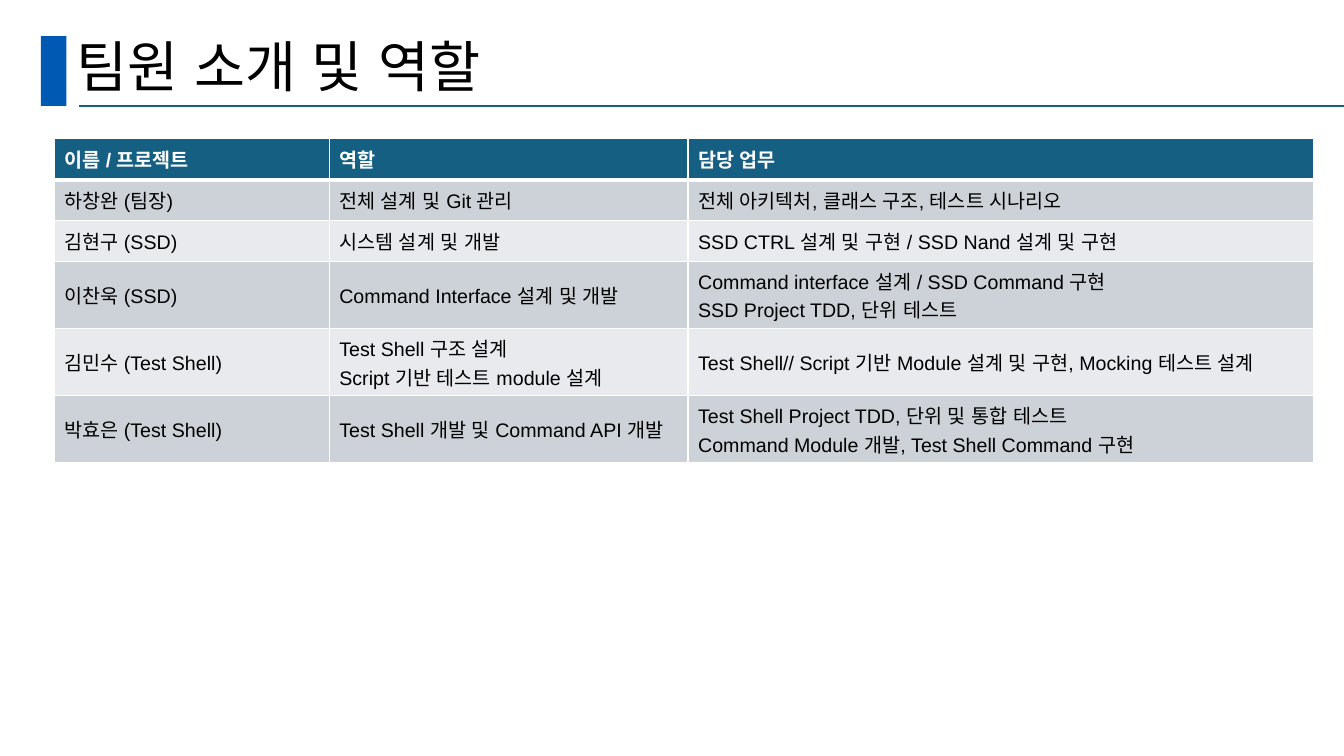
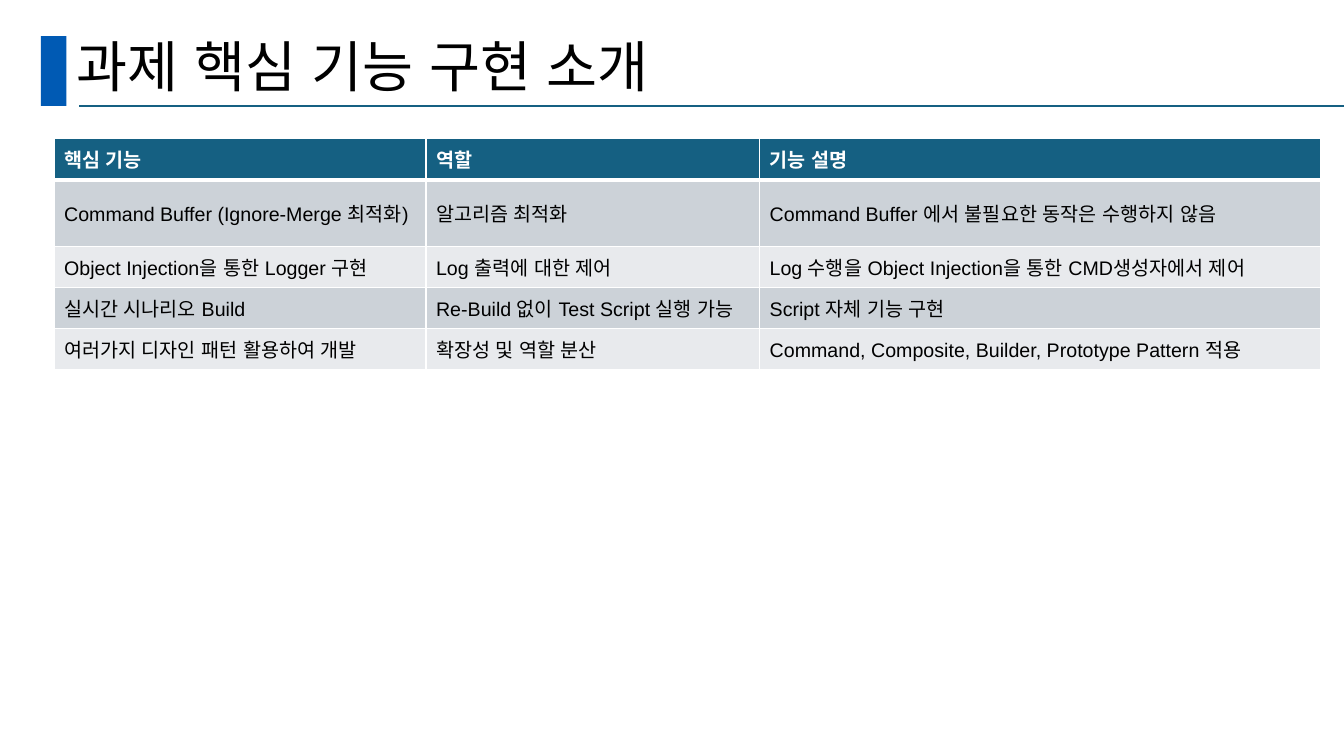
from dataclasses import dataclass

from lxml.etree import SubElement
from pptx import Presentation
from pptx.dml.color import RGBColor as RGB
from pptx.enum.lang import MSO_LANGUAGE_ID as Language
from pptx.enum.shapes import MSO_CONNECTOR as Connector, MSO_SHAPE as Preset
from pptx.enum.text import MSO_ANCHOR as Anchor
from pptx.oxml.ns import qn
from pptx.util import Pt


@dataclass(frozen=True)
class Theme:
    accent: str = "005AB4"
    header: str = "156082"
    bands: tuple = ("CCD2D8", "E8EAED")
    text: str = "000000"
    white: str = "FFFFFF"
    latin_font: str = "Arial"
    korean_font: str = "Noto Sans CJK KR"
    title_size: float = 39.6
    table_size: float = 14
    grid_line: float = 1
    header_line: float = 3


class Deck:
    WIDTH, HEIGHT = 960, 540
    TABLE_LEFT, TABLE_TOP = 38.6, 99.2
    ROW_HEIGHT, TWO_LINE_HEIGHT = 29.2, 47.9

    def __init__(self, theme):
        self.theme = theme
        self.presentation = Presentation()
        self.presentation.slide_width = Pt(self.WIDTH)
        self.presentation.slide_height = Pt(self.HEIGHT)
        self.slide = None

    def add_slide(self, title):
        blank = self.presentation.slide_layouts[6]
        self.slide = self.presentation.slides.add_slide(blank)
        self.title_band()
        self.title(title)

    def title_band(self):
        """Draw the accent block and the rule under the title."""
        shapes = self.slide.shapes
        block = shapes.add_shape(Preset.RECTANGLE, Pt(29.3), Pt(25.8), Pt(18.2), Pt(49.8))
        block.shadow.inherit = False
        block.fill.solid()
        block.fill.fore_color.rgb = RGB.from_string(self.theme.accent)
        block.line.fill.background()

        rule = shapes.add_connector(Connector.STRAIGHT, Pt(56.6), Pt(75.6), Pt(self.WIDTH), Pt(75.6))
        rule.line.color.rgb = RGB.from_string(self.theme.header)
        rule.line.width = Pt(1.5)
        SubElement(rule._element.spPr, qn("a:effectLst"))

    def title(self, text):
        box = self.slide.shapes.add_textbox(Pt(47.6), Pt(24), Pt(828), Pt(51.1))
        frame = box.text_frame
        frame.word_wrap = True
        frame.vertical_anchor = Anchor.MIDDLE
        paragraph = frame.paragraphs[0]
        paragraph.line_spacing = 0.9
        self.run(paragraph, text, self.theme.title_size, self.theme.korean_font, self.theme.text)

    def run(self, paragraph, text, size, font_name, color, bold=False):
        run = paragraph.add_run()
        run.text = text
        font = run.font
        font.size, font.bold, font.name = Pt(size), bold, font_name
        font.color.rgb = RGB.from_string(color)
        font.language_id = Language.KOREAN
        SubElement(run._r.get_or_add_rPr(), qn("a:ea"), typeface=self.theme.korean_font)

    def table(self, column_widths, rows, two_line_rows):
        """Add a banded table; the first row is the header."""
        heights = [self.TWO_LINE_HEIGHT if index in two_line_rows else self.ROW_HEIGHT
                   for index in range(len(rows))]
        frame = self.slide.shapes.add_table(
            len(rows), len(column_widths), Pt(self.TABLE_LEFT), Pt(self.TABLE_TOP),
            Pt(sum(column_widths)), Pt(sum(heights)))
        table = frame.table
        for column, width in zip(table.columns, column_widths):
            column.width = Pt(width)
        for row_index, (texts, height) in enumerate(zip(rows, heights)):
            table.rows[row_index].height = Pt(height)
            for column_index, text in enumerate(texts):
                self.cell(table.cell(row_index, column_index), text, row_index)

    def cell(self, cell, text, row_index):
        theme = self.theme
        is_header = row_index == 0
        self.cell_borders(cell, row_index)
        cell.vertical_anchor = Anchor.MIDDLE
        cell.fill.solid()
        fill = theme.header if is_header else theme.bands[(row_index - 1) % 2]
        cell.fill.fore_color.rgb = RGB.from_string(fill)
        frame = cell.text_frame
        for index, line in enumerate(text.split("\n")):
            paragraph = frame.add_paragraph() if index else frame.paragraphs[0]
            self.run(paragraph, line, theme.table_size, theme.latin_font,
                     theme.white if is_header else theme.text, is_header)

    def cell_borders(self, cell, row_index):
        """Set white borders, thicker between the header and the body."""
        thick_side = {0: "lnB", 1: "lnT"}.get(row_index)
        properties = cell._tc.get_or_add_tcPr()
        for side in ("lnL", "lnR", "lnT", "lnB"):
            width = self.theme.header_line if side == thick_side else self.theme.grid_line
            line = SubElement(properties, qn(f"a:{side}"), w=str(Pt(width)))
            SubElement(SubElement(line, qn("a:solidFill")), qn("a:srgbClr"), val=self.theme.white)


TEAM = [
    ("이름 / 프로젝트", "역할", "담당 업무"),
    ("하창완 (팀장)", "전체 설계 및 Git 관리", "전체 아키텍처, 클래스 구조, 테스트 시나리오"),
    ("김현구 (SSD)", "시스템 설계 및 개발", "SSD CTRL 설계 및 구현 / SSD Nand 설계 및 구현"),
    ("이찬욱 (SSD)", "Command Interface 설계 및 개발",
     "Command interface 설계 / SSD Command 구현\nSSD Project TDD, 단위 테스트"),
    ("김민수 (Test Shell)", "Test Shell 구조 설계\nScript 기반 테스트 module 설계",
     "Test Shell// Script 기반 Module 설계 및 구현, Mocking 테스트 설계"),
    ("박효은 (Test Shell)", "Test Shell 개발 및 Command API 개발",
     "Test Shell Project TDD, 단위 및 통합 테스트\nCommand Module 개발, Test Shell Command 구현"),
]

FEATURES = [
    ("핵심 기능", "역할", "기능 설명"),
    ("Command Buffer (Ignore-Merge 최적화)", "알고리즘 최적화",
     "Command Buffer 에서 불필요한 동작은 수행하지 않음"),
    ("Object Injection을 통한 Logger 구현", "Log 출력에 대한 제어",
     "Log 수행을 Object Injection을 통한 CMD생성자에서 제어"),
    ("실시간 시나리오 Build", "Re-Build 없이 Test Script 실행 가능", "Script 자체 기능 구현"),
    ("여러가지 디자인 패턴 활용하여 개발", "확장성 및 역할 분산",
     "Command, Composite, Builder, Prototype Pattern 적용"),
]


def main():
    deck = Deck(Theme())
    deck.add_slide("팀원 소개 및 역할")
    deck.table((196.6, 256.3, 447.1), TEAM, two_line_rows=(3, 4, 5))
    deck.add_slide("과제 핵심 기능 구현 소개")
    deck.table((265.7, 238.3, 401), FEATURES, two_line_rows=(1,))
    deck.presentation.save("out.pptx")


if __name__ == "__main__":
    main()
